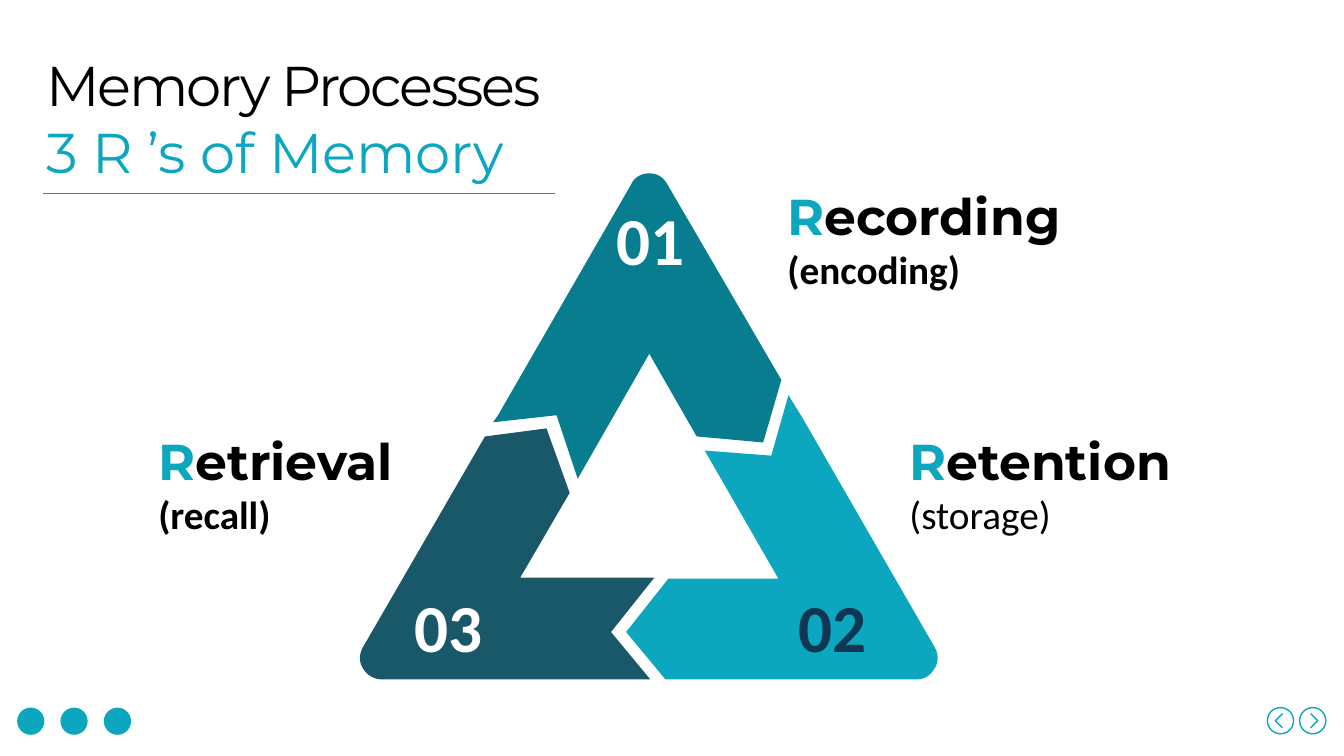
from pptx import Presentation
from pptx.dml.color import RGBColor
from pptx.enum.shapes import MSO_CONNECTOR, MSO_SHAPE
from pptx.enum.text import MSO_ANCHOR, MSO_AUTO_SIZE, PP_ALIGN
from pptx.oxml.ns import qn
from pptx.util import Inches, Pt
from lxml import etree

OVAL = MSO_SHAPE.OVAL
STRAIGHT = MSO_CONNECTOR.STRAIGHT
LEFT, CENTER, JUSTIFY = PP_ALIGN.LEFT, PP_ALIGN.CENTER, PP_ALIGN.JUSTIFY
TOP, MIDDLE, BOTTOM = MSO_ANCHOR.TOP, MSO_ANCHOR.MIDDLE, MSO_ANCHOR.BOTTOM

COLORS = {name: RGBColor.from_string(value) for name, value in {
    "black": "000000", "white": "FFFFFF", "aqua": "0CA6BF", "teal": "077D8F",
    "slate": "195869", "navy": "0F3754", "rule": "1D9A78",
}.items()}

deck = Presentation()
deck.slide_width, deck.slide_height = Inches(13.33), Inches(7.5)
page = deck.slides.add_slide(deck.slide_layouts[6])


def add_text(bounds, lines, align, anchor, wrap, side_inset=0.1):
    """Each line is a list of spans: text, size, font, color, bold, spacing in points."""
    box = page.shapes.add_textbox(*map(Inches, bounds))
    settings = {"word_wrap": wrap, "vertical_anchor": anchor,
                "auto_size": MSO_AUTO_SIZE.SHAPE_TO_FIT_TEXT,
                "margin_left": Inches(side_inset), "margin_right": Inches(side_inset)}
    for name, value in settings.items():
        setattr(box.text_frame, name, value)
    for index, spans in enumerate(lines):
        para = box.text_frame.paragraphs[0] if index == 0 else box.text_frame.add_paragraph()
        para.alignment = align
        for text, size, font, color, bold, spacing in spans:
            span = para.add_run()
            span.text = text
            for name, value in {"size": Pt(size), "name": font, "bold": bold}.items():
                setattr(span.font, name, value)
            span.font.color.rgb = COLORS[color]
            if spacing:
                span._r.get_or_add_rPr().set("spc", str(int(spacing * 100)))


def add_outline(steps, closed=True):
    """A step of two numbers is a corner; one of six is a Bezier curve."""
    points = [steps[0]]
    for step in steps[1:]:
        if len(step) == 2:
            points.append(step)
            continue
        ends = [points[-1], step[:2], step[2:4], step[4:]]
        for t in (n / 12 for n in range(1, 13)):
            weights = ((1 - t) ** 3, 3 * t * (1 - t) ** 2, 3 * t * t * (1 - t), t ** 3)
            points.append(tuple(sum(w * end[axis] for w, end in zip(weights, ends))
                                for axis in (0, 1)))
    points = [(Inches(x), Inches(y)) for x, y in points]
    builder = page.shapes.build_freeform(*points[0])
    builder.add_line_segments(points[1:], close=closed)
    shape = builder.convert_to_shape()
    shape.shadow.inherit = False
    return shape


# Title
add_text((0.36, 0.45, 5.44, 1.45), [
    [("Memory Processes", 40, "Montserrat", "black", False, -1.5)],
    [("3 R ’s of Memory", 40, "Montserrat", "aqua", False, 0)],
], JUSTIFY, TOP, False)

# Triangle of three arrows
arrows = [
    ("aqua", [(6.63, 5.74), (7.72, 5.74), (6.99, 4.47), (7.65, 4.52), (7.82, 3.92),
              (7.95, 4.13), (9.27, 6.42), (9.31, 6.49, 9.31, 6.57, 9.27, 6.63),
              (9.23, 6.7, 9.17, 6.74, 9.09, 6.74), (6.6, 6.74), (6.21, 6.27)]),
    ("slate", [(5.65, 4.89), (5.16, 5.73), (6.49, 5.73), (6.06, 6.27), (6.45, 6.74),
               (3.79, 6.74), (3.71, 6.74, 3.64, 6.7, 3.6, 6.63),
               (3.56, 6.57, 3.56, 6.49, 3.6, 6.42), (4.81, 4.33), (5.42, 4.25)]),
    ("teal", [(6.62, 1.83), (7.75, 3.77), (7.57, 4.39), (6.91, 4.33), (6.44, 3.51),
              (5.73, 4.75), (5.52, 4.12), (4.89, 4.19), (4.94, 4.12), (6.26, 1.83),
              (6.29, 1.76, 6.36, 1.72, 6.44, 1.72), (6.52, 1.72, 6.58, 1.76, 6.62, 1.83)]),
]
for color, steps in arrows:
    arrow = add_outline(steps)
    arrow.fill.solid()
    arrow.fill.fore_color.rgb = COLORS[color]
    arrow.line.fill.background()

# Numbers on the arrows
for number, left, top, color in [("01", 6.01, 1.91, "white"), ("02", 7.81, 5.75, "navy"),
                                 ("03", 4, 5.75, "white")]:
    add_text((left, top, 0.89, 0.91), [[(number, 48, "Calibri", color, True, 0)]],
             CENTER, MIDDLE, False)

# Labels beside the triangle
for name, detail, left, top, width, bold in [
    ("Recording", "(encoding)", 7.81, 1.77, 2.72, True),
    ("Retention", "(storage)", 9.02, 4.2, 4.44, False),
    ("Retrieval", "(recall)", 1.57, 4.2, 2.43, True),
]:
    add_text((left, top, width, 1.18), [
        [(name[0], 36, "Montserrat", "aqua", True, 0),
         (name[1:], 36, "Montserrat", "black", True, 0)],
        [(detail, 28, "Calibri", "black", bold, 0)],
    ], LEFT, BOTTOM, True, side_inset=0)

# Dots at bottom left
for index in range(3):
    dot = page.shapes.add_shape(OVAL, Inches(0.17 + 0.43 * index), Inches(7.02),
                                Inches(0.27), Inches(0.27))
    dot.shadow.inherit = False
    dot.fill.solid()
    dot.fill.fore_color.rgb = COLORS["aqua"]
    dot.line.fill.background()

# Back and forward buttons: a ring and a chevron
for center, direction in [(12.7, -1), (13.02, 1)]:
    ring = page.shapes.add_shape(OVAL, Inches(center - 0.13), Inches(7.02),
                                 Inches(0.26), Inches(0.26))
    ring.shadow.inherit = False
    base, tip = center - 0.02 * direction, center + 0.05 * direction
    chevron = add_outline([(base, 7.08), (tip, 7.15), (base, 7.22)], closed=False)
    for part in (ring, chevron):
        part.fill.background()
        part.line.color.rgb = COLORS["aqua"]
        part.line.width = Pt(1)

# Rule under the title
rule = page.shapes.add_connector(STRAIGHT, Inches(0.43), Inches(1.92), Inches(5.5), Inches(1.92))
rule.line.color.rgb = COLORS["rule"]
rule.line.width = Pt(0.5)
etree.SubElement(rule._element.spPr, qn("a:effectLst"))

deck.save("out.pptx")
